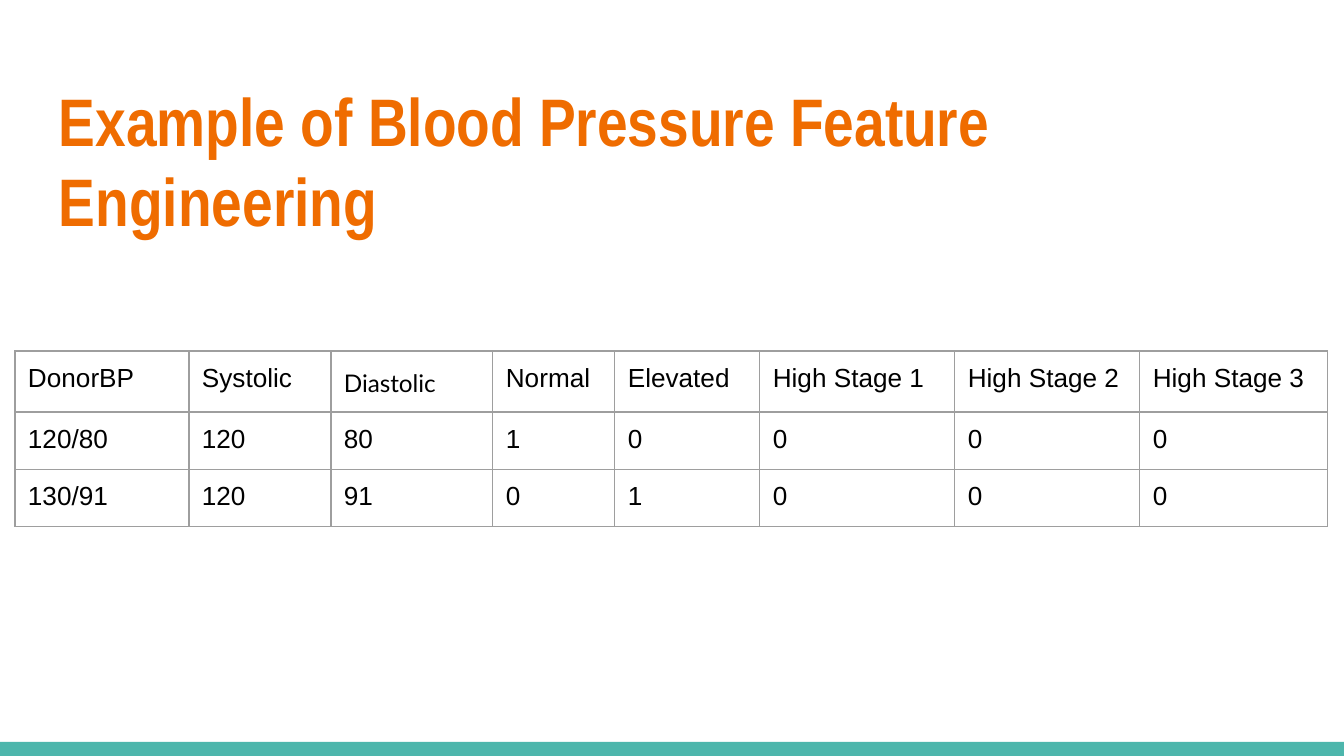
from lxml import etree
from pptx import Presentation
from pptx.dml.color import RGBColor
from pptx.enum.shapes import MSO_SHAPE
from pptx.oxml.ns import qn
from pptx.util import Pt

RECT = MSO_SHAPE.RECTANGLE

# Content
TITLE = "Example of Blood Pressure Feature Engineering"
ROWS = [
    ["DonorBP", "Systolic", "Diastolic", "Normal", "Elevated",
     "High Stage 1", "High Stage 2", "High Stage 3"],
    ["120/80", "120", "80", "1", "0", "0", "0", "0"],
    ["130/91", "120", "91", "0", "1", "0", "0", "0"],
]
WIDTHS = [174, 142, 162, 122, 145, 195, 185, 188]
HEIGHTS = [61, 56, 56]
COLORS = {"title": "EF6C00", "bar": "4DB6AC", "text": "000000", "grid": "9E9E9E"}
WIDE, HIGH, PAD = 1344, 756, 13


def px(n):
    return round(n * 914400 / 134.4)


def color(name):
    return RGBColor.from_string(COLORS[name])


def inset(part):
    part.margin_left = part.margin_right = px(PAD)
    part.margin_top = part.margin_bottom = px(PAD)


def write(para, text, size, face, tint, bold=False):
    run = para.add_run()
    run.text = text
    font = run.font
    font.size, font.name, font.bold = Pt(size), face, bold
    font.color.rgb = color(tint)


def border(cell):
    props = cell._tc.get_or_add_tcPr()
    for spot, side in enumerate(("a:lnL", "a:lnR", "a:lnT", "a:lnB")):
        line = etree.Element(qn(side), w=str(Pt(0.75)))
        fill = etree.SubElement(line, qn("a:solidFill"))
        etree.SubElement(fill, qn("a:srgbClr"), val=COLORS["grid"])
        props.insert(spot, line)


deck = Presentation()
deck.slide_width, deck.slide_height = px(WIDE), px(HIGH)
slide = deck.slides.add_slide(deck.slide_layouts[6])
shapes = slide.shapes

# Bottom bar
bar = shapes.add_shape(RECT, 0, px(742), px(WIDE), px(HIGH - 742))
bar.shadow.inherit = False
bar.fill.solid()
bar.fill.fore_color.rgb = color("bar")
bar.line.fill.background()

# Title
frame = shapes.add_textbox(px(46), px(66), px(1252), px(103)).text_frame
frame.word_wrap = True
inset(frame)
write(frame.paragraphs[0], TITLE, 36, "Arial Narrow", "title", True)

# Blood pressure table
table = shapes.add_table(len(ROWS), len(WIDTHS), px(15), px(351),
                         px(sum(WIDTHS)), px(sum(HEIGHTS))).table
table.first_row = table.horz_banding = False
for col, width in zip(table.columns, WIDTHS):
    col.width = px(width)
for row, height, texts in zip(table.rows, HEIGHTS, ROWS):
    row.height = px(height)
    for cell, text in zip(row.cells, texts):
        inset(cell)
        cell.fill.background()
        border(cell)
        para = cell.text_frame.paragraphs[0]
        if text == "Diastolic":
            para.line_spacing, para.space_after = 1.15, Pt(16)
            write(para, text, 13, "Lato", "text")
        else:
            write(para, text, 14, "Arial", "text")

deck.save("out.pptx")
